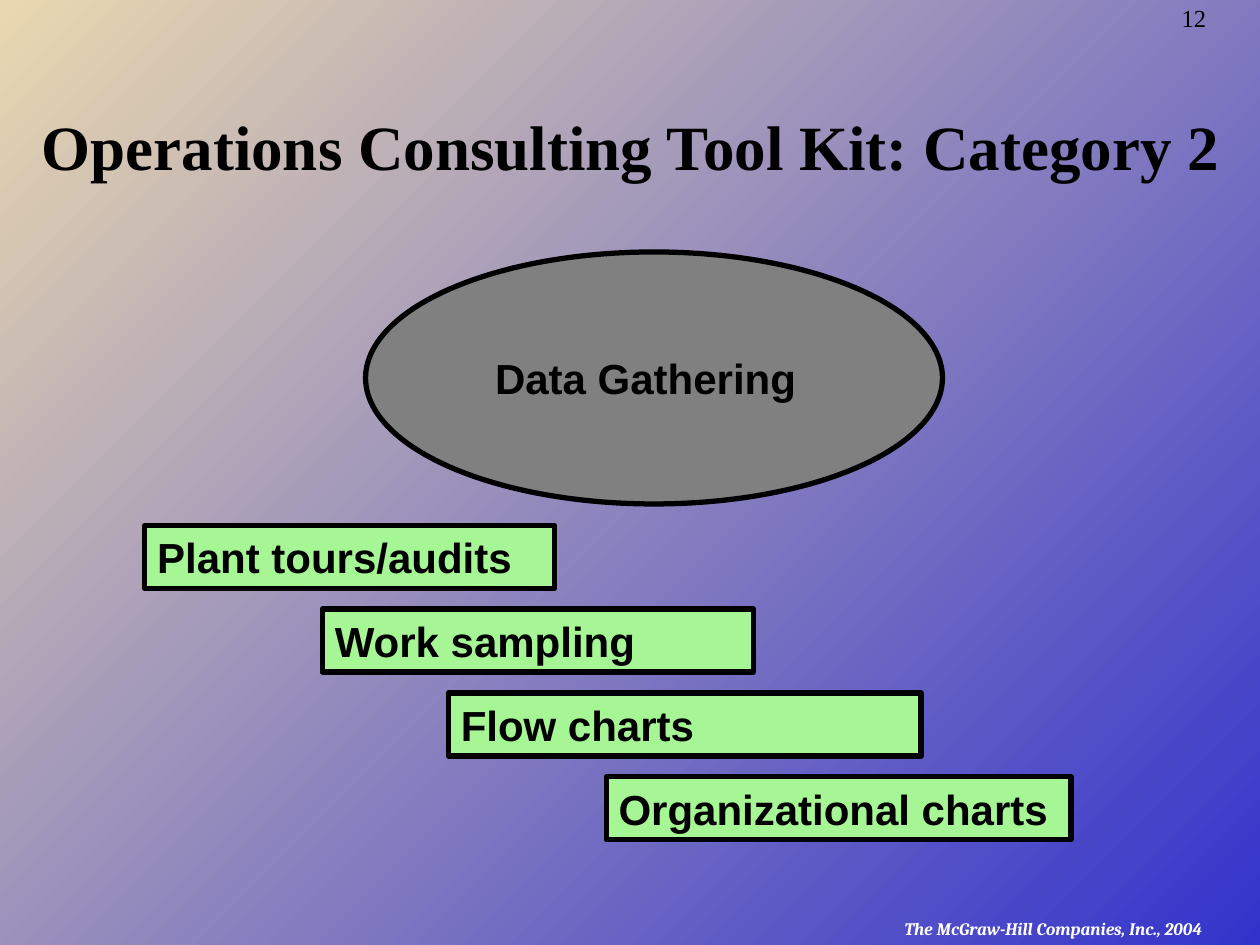
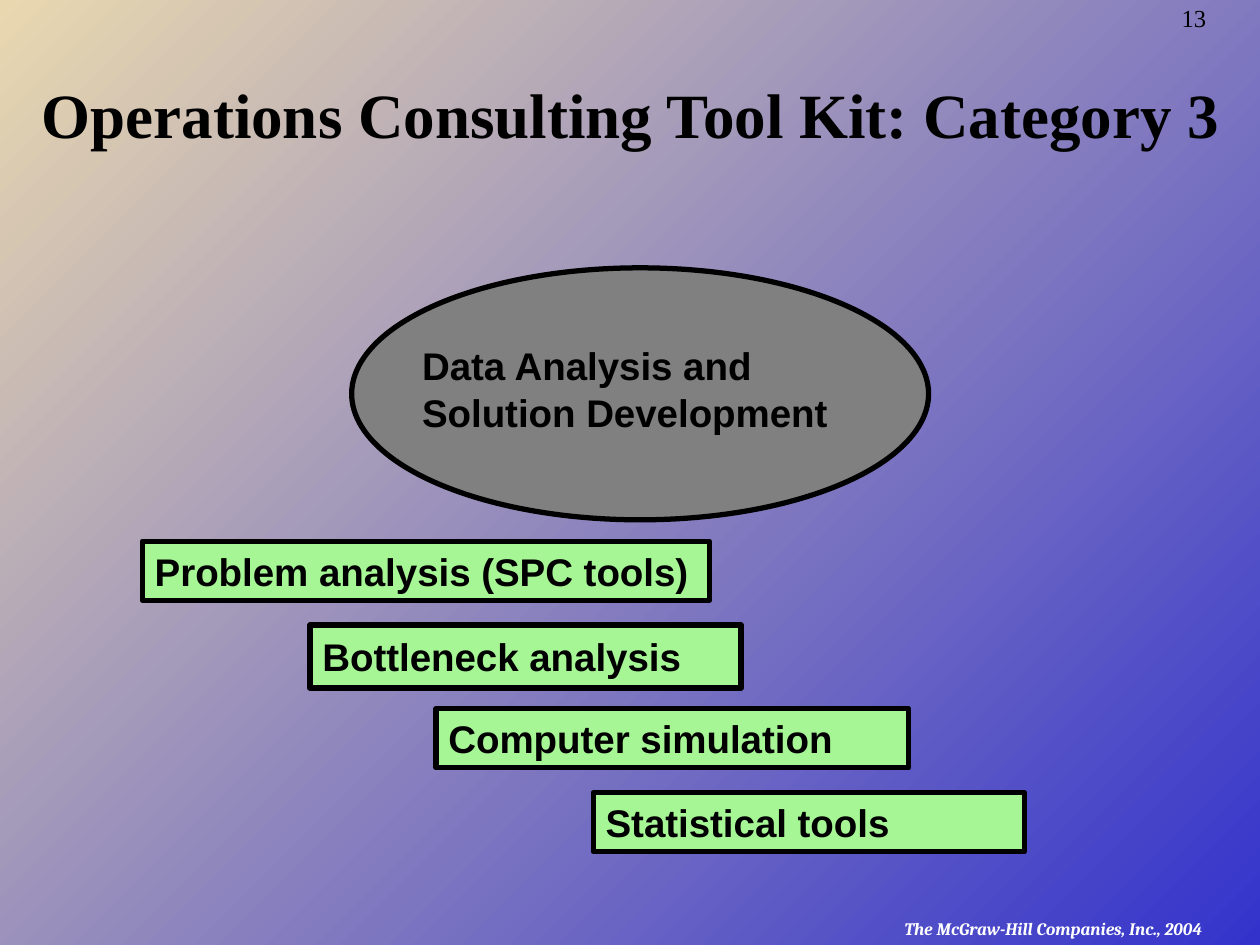
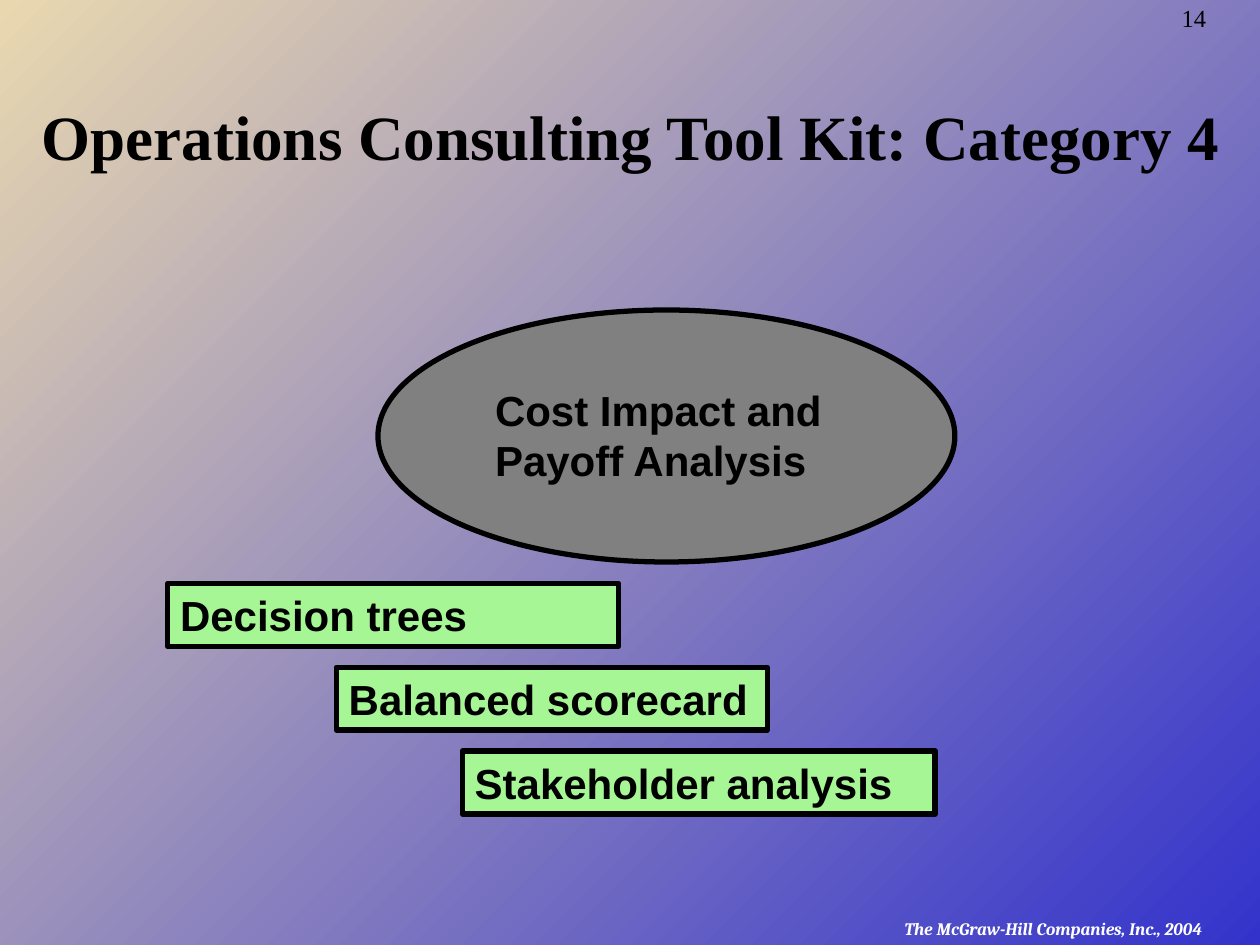
from lxml.etree import SubElement
from pptx import Presentation
from pptx.dml.color import RGBColor
from pptx.enum.shapes import MSO_SHAPE as SHAPE
from pptx.enum.text import MSO_ANCHOR as ANCHOR, PP_ALIGN as ALIGN
from pptx.oxml.ns import qn
from pptx.util import Cm, Pt

COLORS = {
    "ink": "000000",
    "footer": "FFFFFF",
    "category": "808080",
    "tool": "A6F695",
    "sky": "3333CC",
    "sand": "E9D8AF",
}
TITLE = "Operations Consulting Tool Kit: Category {}"
COPYRIGHT = "The McGraw-Hill Companies, Inc., 2004"

CATEGORIES = [
    {
        "page": 12, "number": 2, "title_bottom": 3.81,
        "oval": (7.37, 5.08), "size": 24, "tool_height": 1.27,
        "name": ["Data Gathering"], "name_box": (9.73, 6.99, 8.05, 1.27),
        "tools": [
            ("Plant tours/audits", 2.92, 8.26),
            ("Work sampling", 6.5, 8.69),
            ("Flow charts", 9.04, 9.53),
            ("Organizational charts", 12.22, 9.37),
        ],
    },
    {
        "page": 13, "number": 3, "title_bottom": 3.18,
        "oval": (7.09, 5.4), "size": 22, "tool_height": 1.19,
        "name": ["Data Analysis and", "Solution Development"],
        "name_box": (8.26, 6.78, 9.22, 2.13),
        "tools": [
            ("Problem analysis (SPC tools)", 2.87, 11.43),
            ("Bottleneck analysis", 6.25, 8.69, 1.27),
            ("Computer simulation", 8.79, 9.53),
            ("Statistical tools", 11.96, 8.69),
        ],
    },
    {
        "page": 14, "number": 4, "title_bottom": 3.61,
        "oval": (7.62, 6.25), "size": 24, "tool_height": 1.27,
        "name": ["Cost Impact and", "Payoff Analysis"],
        "name_box": (9.73, 7.62, 8.69, 2.29),
        "tools": [
            ("Decision trees", 3.38, 9.09),
            ("Balanced scorecard", 6.78, 8.69),
            ("Stakeholder analysis", 9.32, 9.53),
        ],
    },
]

OVAL_WIDTH, OVAL_HEIGHT = 11.63, 5.08
TOOLS_BELOW_OVAL_TOP = 5.51
TOOL_STEP = 1.69
TITLE_HEIGHT = 1.91


def rgb(name):
    return RGBColor.from_string(COLORS[name])


def write(holder, lines, size, font="Arial", color="ink", bold=True,
          italic=False, align=ALIGN.LEFT, anchor=ANCHOR.TOP):
    frame = holder.text_frame
    frame.word_wrap = True
    frame.vertical_anchor = anchor
    frame.text = "\n".join(lines)
    for paragraph in frame.paragraphs:
        paragraph.alignment = align
        paragraph.font.name = font
        paragraph.font.size = Pt(size)
        paragraph.font.bold = bold
        paragraph.font.italic = italic
        paragraph.font.color.rgb = rgb(color)
    return frame.paragraphs[0]


def add_text(slide, box, lines, size, **style):
    holder = slide.shapes.add_textbox(*map(Cm, box))
    return write(holder, lines, size, **style)


def add_outlined(slide, kind, box, fill):
    shape = slide.shapes.add_shape(kind, *map(Cm, box))
    shape.shadow.inherit = False
    shape.fill.solid()
    shape.fill.fore_color.rgb = rgb(fill)
    shape.line.color.rgb = rgb("ink")
    shape.line.width = Pt(3)
    return shape


def add_copyright(slide):
    holder = slide.shapes.add_textbox(Cm(17.98), Cm(18.39), Cm(7.42), Cm(0.66))
    paragraph = holder.text_frame.paragraphs[0]
    props = paragraph._p.get_or_add_pPr()
    props.set("marL", str(Cm(0.6)))
    props.set("indent", str(-Cm(0.6)))
    bullet_color = SubElement(props, qn("a:buClr"))
    SubElement(bullet_color, qn("a:srgbClr"), val=COLORS["footer"])
    SubElement(props, qn("a:buFont"), typeface="Arial")
    SubElement(props, qn("a:buChar"), char="©")
    write(holder, [COPYRIGHT], 10, font="Cambria", color="footer", italic=True)


def add_frame(slide, category):
    add_copyright(slide)
    page = add_text(slide, (23.57, 0, 1.83, 0.79), [str(category["page"])], 14,
                    font="Times New Roman", bold=False)
    page.line_spacing = 0.9
    title_box = (0.51, category["title_bottom"] - TITLE_HEIGHT, 24.41, TITLE_HEIGHT)
    add_text(slide, title_box, [TITLE.format(category["number"])], 36,
             font="Times New Roman", align=ALIGN.CENTER, anchor=ANCHOR.BOTTOM)


def add_category(slide, category):
    left, top = category["oval"]
    size = category["size"]
    add_outlined(slide, SHAPE.OVAL, (left, top, OVAL_WIDTH, OVAL_HEIGHT), "category")
    add_text(slide, category["name_box"], category["name"], size)
    for row, (tool, tool_left, width, *own_height) in enumerate(category["tools"]):
        tool_top = top + TOOLS_BELOW_OVAL_TOP + row * TOOL_STEP
        height = own_height[0] if own_height else category["tool_height"]
        bar = add_outlined(slide, SHAPE.RECTANGLE,
                           (tool_left, tool_top, width, height), "tool")
        write(bar, [tool], size, anchor=ANCHOR.MIDDLE)


def main():
    deck = Presentation()
    deck.slide_width, deck.slide_height = Cm(25.4), Cm(19.05)
    backdrop = deck.slide_master.background.fill
    backdrop.gradient()
    backdrop.gradient_angle = 135
    for stop, name in zip(backdrop.gradient_stops, ("sky", "sand")):
        stop.color.rgb = rgb(name)
    for category in CATEGORIES:
        slide = deck.slides.add_slide(deck.slide_layouts[6])
        add_frame(slide, category)
        add_category(slide, category)
    deck.save("out.pptx")


if __name__ == "__main__":
    main()
